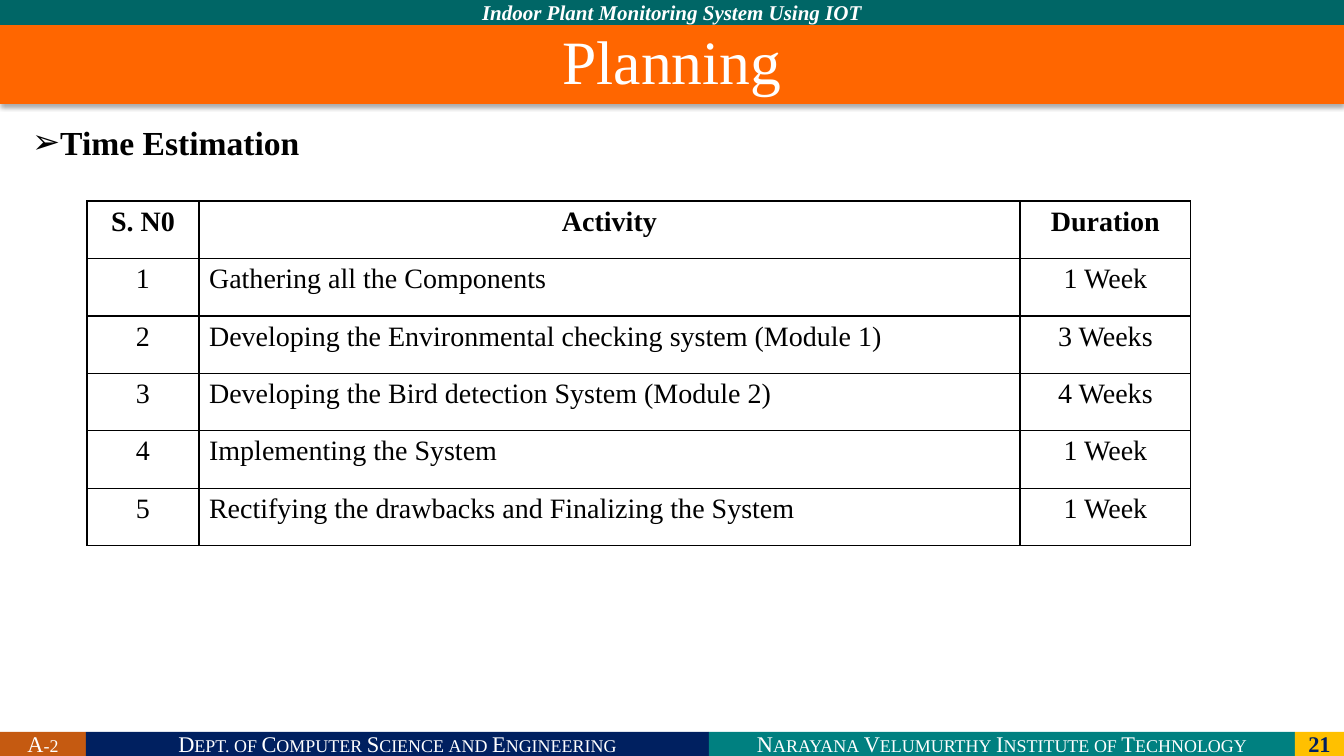
"""Build the project planning slide with its time estimation table."""
from dataclasses import dataclass

from lxml import etree
from pptx import Presentation, util as u
from pptx.dml.color import RGBColor
from pptx.enum import shapes, text
from pptx.oxml import parse_xml
from pptx.oxml.ns import nsdecls, qn

PX = 914400 / 100.8
LEFT, CENTER, JUSTIFY = text.PP_ALIGN.LEFT, text.PP_ALIGN.CENTER, text.PP_ALIGN.JUSTIFY


@dataclass(frozen=True)
class Theme:
    """Colours, font and type sizes of the slide."""
    font: str = "Times New Roman"
    ink: str = "000000"
    paper: str = "FFFFFF"
    navy: str = "002060"
    teal: str = "008080"
    deep_teal: str = "006666"
    gold: str = "FFC000"
    rust: str = "C55A11"
    orange: str = "FF6600"
    title_size: int = 44
    list_size: int = 24
    table_size: int = 20
    footer_size: int = 16
    header_size: int = 15


def px(length):
    """Turn pixels into EMU."""
    return u.Emu(round(length * PX))


def write(frame, words, *, font, size, color, align=CENTER, bold=False,
          italic=False, small_caps=False, spacing=None, before=None):
    """Write one formatted paragraph into a text frame and return it."""
    para = frame.paragraphs[0]
    para.alignment = align
    if spacing is not None:
        para.line_spacing = spacing
    if before is not None:
        para.space_before = u.Pt(before)
    span = para.add_run()
    span.text = words
    span.font.name, span.font.size = font, u.Pt(size)
    span.font.bold, span.font.italic = bold, italic
    span.font.color.rgb = RGBColor.from_string(color)
    if small_caps:
        span.font._element.set("cap", "small")
    return para


class SlideBuilder:
    """Hold the theme and the current page, and add its elements."""

    def __init__(self, page, theme):
        """Keep the page and the theme."""
        self.page, self.theme = page, theme

    def place(self, box, left, top, width, height):
        """Move and size a box given in pixels."""
        box.left, box.top, box.width, box.height = map(px, (left, top, width, height))

    def paint(self, box, color):
        """Fill a box with one solid colour."""
        box.fill.solid()
        box.fill.fore_color.rgb = RGBColor.from_string(color)

    def title(self, words, *area):
        """Format the title placeholder as a shadowed banner."""
        box, theme = self.page.shapes.title, self.theme
        self.place(box, *area)
        self.paint(box, theme.orange)
        box._element.spPr.append(parse_xml(
            f'<a:effectLst {nsdecls("a")}><a:outerShdw blurRad="{u.Pt(3.5)}" '
            f'dist="{u.Pt(2.2)}" dir="5400000" algn="t" rotWithShape="0">'
            f'<a:srgbClr val="{theme.ink}"><a:alpha val="32000"/></a:srgbClr>'
            '</a:outerShdw></a:effectLst>'))
        frame = box.text_frame
        frame.auto_size = text.MSO_AUTO_SIZE.NONE
        frame.vertical_anchor = text.MSO_ANCHOR.MIDDLE
        write(frame, words, font=theme.font, size=theme.title_size,
              color=theme.paper, spacing=0.9)

    def heading(self, words, *area):
        """Format the body placeholder as an arrow-bulleted heading."""
        box, theme = self.page.placeholders[1], self.theme
        self.place(box, *area)
        frame = box.text_frame
        frame.auto_size = text.MSO_AUTO_SIZE.NONE
        frame.vertical_anchor = text.MSO_ANCHOR.TOP
        para = write(frame, words, font=theme.font, size=theme.list_size,
                     color=theme.ink, align=JUSTIFY, bold=True, spacing=0.9, before=10)
        props = para._p.get_or_add_pPr()
        indent = u.Inches(0.25)
        props.set("marL", str(indent))
        props.set("indent", str(-indent))
        etree.SubElement(props, qn("a:buChar"), char="➢")

    def band(self, words, fill, *area, **style):
        """Add a filled strip with a centred label."""
        box = self.page.shapes.add_shape(shapes.MSO_SHAPE.RECTANGLE, *map(px, area))
        box.shadow.inherit = False
        self.paint(box, fill)
        box.line.fill.background()
        box.text_frame.word_wrap = True
        box.text_frame.vertical_anchor = text.MSO_ANCHOR.MIDDLE
        look = dict(font=self.theme.font, size=self.theme.footer_size, color=self.theme.paper)
        write(box.text_frame, words, **{**look, **style})

    def border(self, cell):
        """Draw a thin line on all four sides of a cell."""
        props = cell._tc.get_or_add_tcPr()
        for index, side in enumerate("LRTB"):
            props.insert(index, parse_xml(
                f'<a:ln{side} {nsdecls("a")} w="{u.Pt(1)}"><a:solidFill>'
                f'<a:srgbClr val="{self.theme.ink}"/></a:solidFill></a:ln{side}>'))

    def table(self, rows, widths, left, top, height):
        """Add a ruled table with a bold header row."""
        grid = self.page.shapes.add_table(
            len(rows), len(widths), px(left), px(top), px(sum(widths)), px(height)).table
        grid.first_row = grid.horz_banding = False
        for column, width in zip(grid.columns, widths):
            column.width = px(width)
        for r, values in enumerate(rows):
            grid.rows[r].height = px(height / len(rows))
            for c, words in enumerate(values):
                cell = grid.cell(r, c)
                cell.fill.background()
                self.border(cell)
                write(cell.text_frame, words, font=self.theme.font,
                      size=self.theme.table_size, color=self.theme.ink, bold=r == 0,
                      align=LEFT if r and c == 1 else CENTER)


def main():
    """Build and save the deck."""
    deck = Presentation()
    deck.slide_width, deck.slide_height = px(1344), px(756)
    theme = Theme()
    slide = SlideBuilder(deck.slides.add_slide(deck.slide_layouts[1]), theme)

    slide.band("Indoor Plant Monitoring System Using IOT", theme.deep_teal,
               0, 0, 1344, 25, size=theme.header_size, bold=True, italic=True)
    slide.title("Planning", 0, 25, 1344, 79)
    slide.heading("Time Estimation", 22, 121, 1298, 595)

    caps, number = dict(small_caps=True), dict(color=theme.navy, bold=True)
    footer = [
        ("A-2", theme.rust, 86, caps),
        ("Dept. of Computer Science and Engineering", theme.navy, 623, caps),
        ("Narayana Velumurthy Institute of Technology", theme.teal, 586, caps),
        ("21", theme.gold, 49, number),
    ]
    left = 0
    for words, fill, width, style in footer:
        slide.band(words, fill, left, 732, width, 24, **style)
        left += width

    activities = [
        ("Gathering all the Components", "1 Week"),
        ("Developing the Environmental checking system (Module 1)", "3 Weeks"),
        ("Developing the Bird detection System (Module 2)", "4 Weeks"),
        ("Implementing the System", "1 Week"),
        ("Rectifying the drawbacks and Finalizing the System", "1 Week"),
    ]
    rows = [("S. N0", "Activity", "Duration")]
    rows += [(str(n), *activity) for n, activity in enumerate(activities, 1)]
    slide.table(rows, (112, 821, 171), 87, 201, 345)
    deck.save("out.pptx")


if __name__ == "__main__":
    main()
